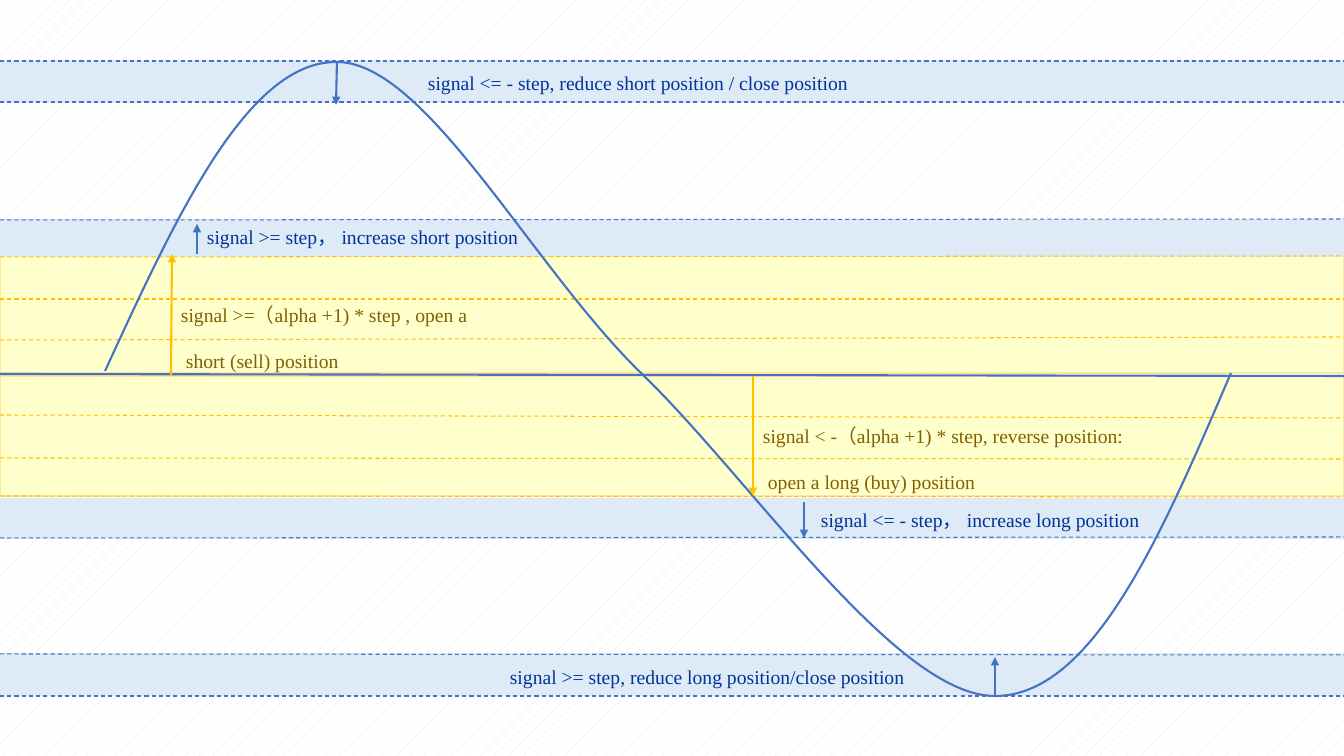
import pptx
import pptx.dml.color
import pptx.enum.dml
import pptx.enum.shapes
import pptx.oxml
import pptx.oxml.ns
import pptx.util
import lxml.etree

PX = 914400 / 100.8
WIDTH, HEIGHT = 1344, 756
COLORS = {name: pptx.dml.color.RGBColor.from_string(value) for name, value in {
    "blue": "4472C4", "gold": "FFC000", "pale blue": "DEEBF7",
    "pale yellow": "FFFFCC", "yellow edge": "FFE699", "navy": "003399",
    "brown": "806000", "white": "FFFFFF", "gray": "E7E6E6",
}.items()}
qn = pptx.oxml.ns.qn


def add_line(start, end, color, width, dashed=False, arrow=False):
    points = [round(value * PX) for value in (*start, *end)]
    connector = slide.shapes.add_connector(
        pptx.enum.shapes.MSO_CONNECTOR.STRAIGHT, *points)
    connector.line.color.rgb = COLORS[color]
    connector.line.width = pptx.util.Pt(width)
    if dashed:
        connector.line.dash_style = pptx.enum.dml.MSO_LINE.DASH
    if arrow:
        outline = connector.line._get_or_add_ln()
        lxml.etree.SubElement(outline, qn("a:tailEnd"), type="triangle")
    lxml.etree.SubElement(connector._element.spPr, qn("a:effectLst"))


def add_label(lines, left, top, width, height, color, size=14,
              font="Times New Roman", gap=16, indent=5):
    """Add a text box; lines after the first are set apart and indented."""
    box = slide.shapes.add_textbox(
        *(round(value * PX) for value in (left, top, width, height)))
    box.text_frame.word_wrap = True
    for index, line in enumerate(lines):
        if index == 0:
            paragraph = box.text_frame.paragraphs[0]
        else:
            paragraph = box.text_frame.add_paragraph()
            paragraph.space_before = pptx.util.Pt(gap)
            paragraph._p.get_or_add_pPr().set("marL", str(round(indent * PX)))
        run = paragraph.add_run()
        run.text = line
        run.font.name = font
        run.font.size = pptx.util.Pt(size)
        run.font.color.rgb = COLORS[color]


presentation = pptx.Presentation()
presentation.slide_width = round(WIDTH * PX)
presentation.slide_height = round(HEIGHT * PX)
slide = presentation.slides.add_slide(presentation.slide_layouts[6])

background = slide.background.fill
background.patterned()
background.pattern = pptx.enum.dml.MSO_PATTERN.PERCENT_5
background.fore_color.rgb = COLORS["gray"]
background.back_color.rgb = COLORS["white"]

# Signal bands
for top, height, fill, edge in [
    (654, 41, "pale blue", "pale blue"),
    (499, 39, "pale blue", "pale blue"),
    (376, 120, "pale yellow", "yellow edge"),
    (61, 41, "pale blue", "pale blue"),
    (256, 117, "pale yellow", "yellow edge"),
    (220, 36, "pale blue", "pale blue"),
]:
    band = slide.shapes.add_shape(
        pptx.enum.shapes.MSO_SHAPE.RECTANGLE, 0, round(top * PX),
        round(WIDTH * PX), round(height * PX))
    band.shadow.inherit = False
    band.fill.solid()
    band.fill.fore_color.rgb = COLORS[fill]
    band.line.color.rgb = COLORS[edge]
    band.line.width = pptx.util.Pt(1)

# Zero axis and step levels
add_line((0, 374), (WIDTH, 376), "blue", 1.5)
levels = {
    "gold": [(340, 337), (299, 299), (415, 418), (458, 459), (496, 497),
             (257, 256)],
    "blue": [(220, 219), (61, 61), (102, 102), (538, 537), (696, 696),
             (654, 655)],
}
for color, ends in levels.items():
    for left_y, right_y in ends:
        add_line((0, left_y), (WIDTH, right_y), color, 0.75, dashed=True)

# Labels
for lines, left, top, width, height, color in [
    (["signal >=（alpha +1) * step , open a", "short (sell) position"],
     171, 298, 340, 82, "brown"),
    (["signal >= step， increase short position"], 197, 220, 369, 34, "navy"),
    (["signal >= step, reduce long position/close position"],
     500, 660, 457, 34, "navy"),
    (["signal < -（alpha +1) * step, reverse position:",
      "open a long (buy) position"], 753, 419, 408, 82, "brown"),
    (["signal <= - step， increase long position"], 811, 503, 362, 34, "navy"),
    (["signal <= - step, reduce short position / close position"],
     418, 66, 469, 34, "navy"),
]:
    add_label(lines, left, top, width, height, color)

# Signal wave: a start point, then two control points and an end per curve
wave_points = [
    (105, 371), (176, 217), (247, 61), (337, 62), (426, 62), (532, 267),
    (641, 373), (751, 479), (896, 696), (995, 696), (1093, 696), (1162, 534),
    (1231, 373),
]
builder = slide.shapes.build_freeform(*wave_points[0], scale=PX)
builder.add_line_segments(wave_points[1:], close=False)
wave = builder.convert_to_shape()
wave.shadow.inherit = False
wave.fill.background()
wave.line.color.rgb = COLORS["blue"]
wave.line.width = pptx.util.Pt(1.5)
outline_path = wave._element.find(".//" + qn("a:path"))
segments = outline_path.findall(qn("a:lnTo"))
for first in range(0, len(segments), 3):
    curve = lxml.etree.SubElement(outline_path, qn("a:cubicBezTo"))
    for segment in segments[first:first + 3]:
        curve.append(segment[0])
        outline_path.remove(segment)

# Arrows
for start, end, color in [
    ((337, 62), (336, 105), "blue"),
    ((171, 376), (172, 254), "gold"),
    ((753, 376), (753, 496), "gold"),
    ((804, 502), (804, 538), "blue"),
    ((995, 696), (995, 657), "blue"),
    ((197, 254), (197, 224), "blue"),
]:
    add_line(start, end, color, 1.5, arrow=True)

presentation.save("out.pptx")
